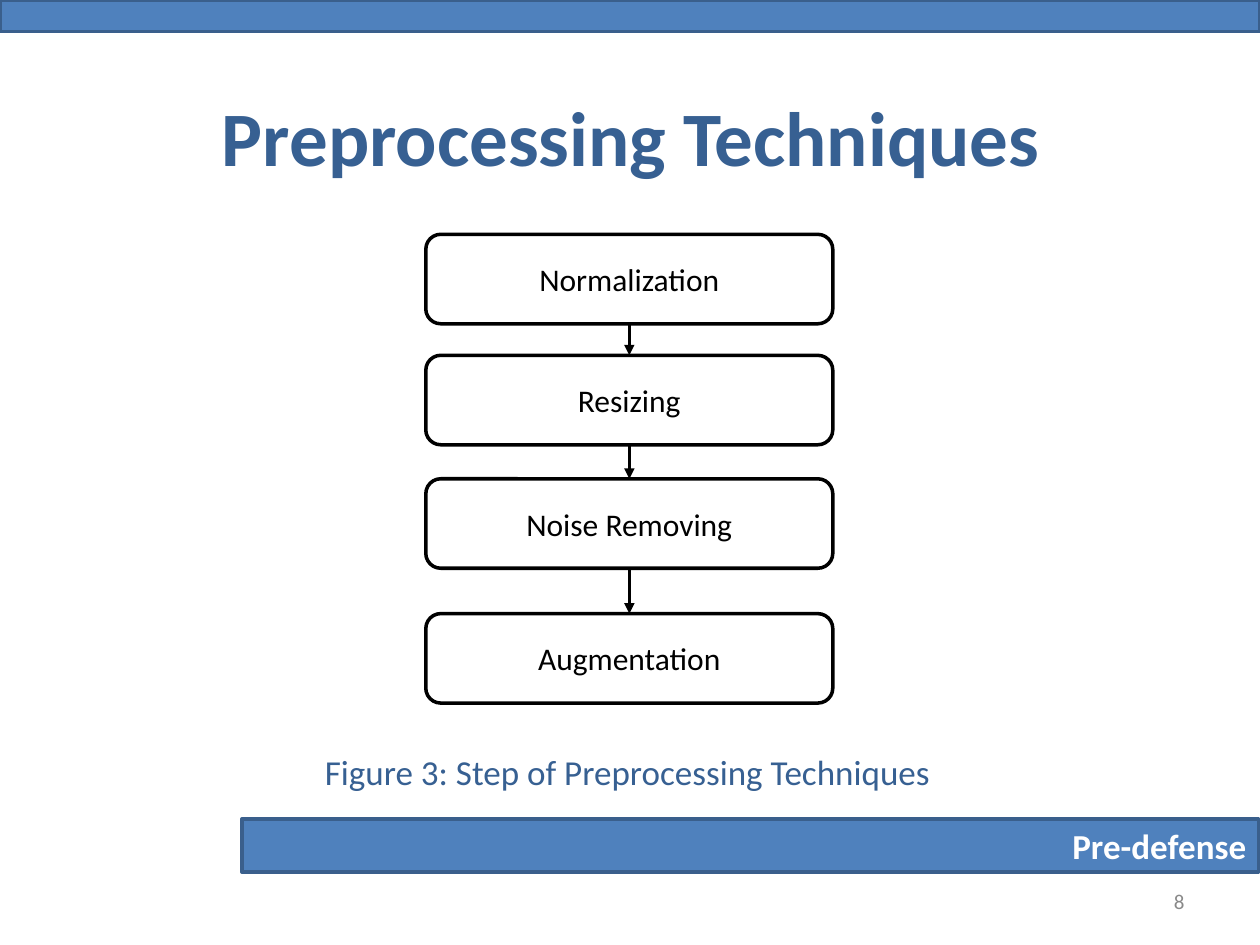
from itertools import pairwise

from lxml import etree
from pptx import Presentation
from pptx.dml.color import RGBColor
from pptx.enum.shapes import MSO_CONNECTOR, MSO_SHAPE
from pptx.enum.text import MSO_ANCHOR, PP_ALIGN
from pptx.oxml.ns import qn
from pptx.util import Inches, Pt

RECT, ROUNDED = MSO_SHAPE.RECTANGLE, MSO_SHAPE.ROUNDED_RECTANGLE
STRAIGHT = MSO_CONNECTOR.STRAIGHT
CENTER, RIGHT = PP_ALIGN.CENTER, PP_ALIGN.RIGHT
TOP, MIDDLE = MSO_ANCHOR.TOP, MSO_ANCHOR.MIDDLE

BLUE = RGBColor(0x4F, 0x81, 0xBD)
BLUE_EDGE = RGBColor(0x3A, 0x5F, 0x8C)
DARK_BLUE = RGBColor(0x37, 0x60, 0x92)
GRAY = RGBColor(0x89, 0x89, 0x89)
BLACK = RGBColor(0, 0, 0)
WHITE = RGBColor(0xFF, 0xFF, 0xFF)

FONT = "Calibri"
COLUMNS, ROWS = 100, 75
BOTTOM_SITE, TOP_SITE = 2, 0


def write(shape, text, size=18, color=BLACK, bold=False, align=CENTER,
          anchor=MIDDLE, wrap=True, spacing=None):
    frame = shape.text_frame
    frame.word_wrap = wrap
    frame.vertical_anchor = anchor
    paragraph = frame.paragraphs[0]
    paragraph.text = text
    paragraph.alignment = align
    paragraph.line_spacing = spacing
    font = paragraph.runs[0].font
    font.name, font.size, font.bold = FONT, Pt(size), bold
    font.color.rgb = color


class SlideBuilder:
    """Places elements on a grid of COLUMNS by ROWS."""

    def __init__(self, deck):
        self.column = deck.slide_width / COLUMNS
        self.row = deck.slide_height / ROWS
        self.slide = deck.slides.add_slide(deck.slide_layouts[5])

    def area(self, left, top, width, height):
        return (round(left * self.column), round(top * self.row),
                round(width * self.column), round(height * self.row))

    def title(self, text, *place, **style):
        title = self.slide.shapes.title
        title.left, title.top, title.width, title.height = self.area(*place)
        write(title, text, **style)

    def label(self, text, *place, **style):
        write(self.slide.shapes.add_textbox(*self.area(*place)), text, **style)

    def box(self, kind, *place, fill=BLUE, edge=BLUE_EDGE, text=None, **style):
        box = self.slide.shapes.add_shape(kind, *self.area(*place))
        box.shadow.inherit = False
        box.fill.solid()
        box.fill.fore_color.rgb = fill
        box.line.color.rgb = edge
        box.line.width = Pt(2)
        if text:
            write(box, text, **style)
        return box

    def arrow(self, upper, lower):
        arrow = self.slide.shapes.add_connector(STRAIGHT, 0, 0, 0, 0)
        arrow.begin_connect(upper, BOTTOM_SITE)
        arrow.end_connect(lower, TOP_SITE)
        arrow.line.color.rgb = BLACK
        arrow.line.width = Pt(1.5)
        etree.SubElement(arrow.line._get_or_add_ln(), qn("a:tailEnd"), type="triangle")
        etree.SubElement(arrow._element.spPr, qn("a:effectLst"))


def main():
    deck = Presentation()
    deck.slide_width, deck.slide_height = Inches(10), Inches(7.5)
    page = SlideBuilder(deck)

    # Bands, title and page number
    page.box(RECT, 19.2, 65, 80.7, 4.2, text="Pre-defense", size=20,
             color=WHITE, bold=True, align=RIGHT)
    page.box(RECT, 0, 0, 100, 2.5)
    page.title("Preprocessing Techniques", 5.1, 4.5, 90, 12.5,
               size=44, color=DARK_BLUE, bold=True)
    page.label("8", 71.7, 69.5, 23.3, 4, size=12, color=GRAY, align=RIGHT)

    # Flow of preprocessing steps
    step_tops = {"Normalization": 18.6, "Resizing": 28.2,
                 "Noise Removing": 38, "Augmentation": 48.7}
    steps = [page.box(ROUNDED, 33.8, top, 32.3, 7.1, fill=WHITE, edge=BLACK, text=step)
             for step, top in step_tops.items()]
    for upper, lower in pairwise(steps):
        page.arrow(upper, lower)

    # Caption
    page.label("Figure 3: Step of Preprocessing Techniques", 24.2, 57.4, 51.2, 5.5,
               size=20, color=DARK_BLUE, anchor=TOP, wrap=False, spacing=1.5)

    deck.save("out.pptx")


if __name__ == "__main__":
    main()
